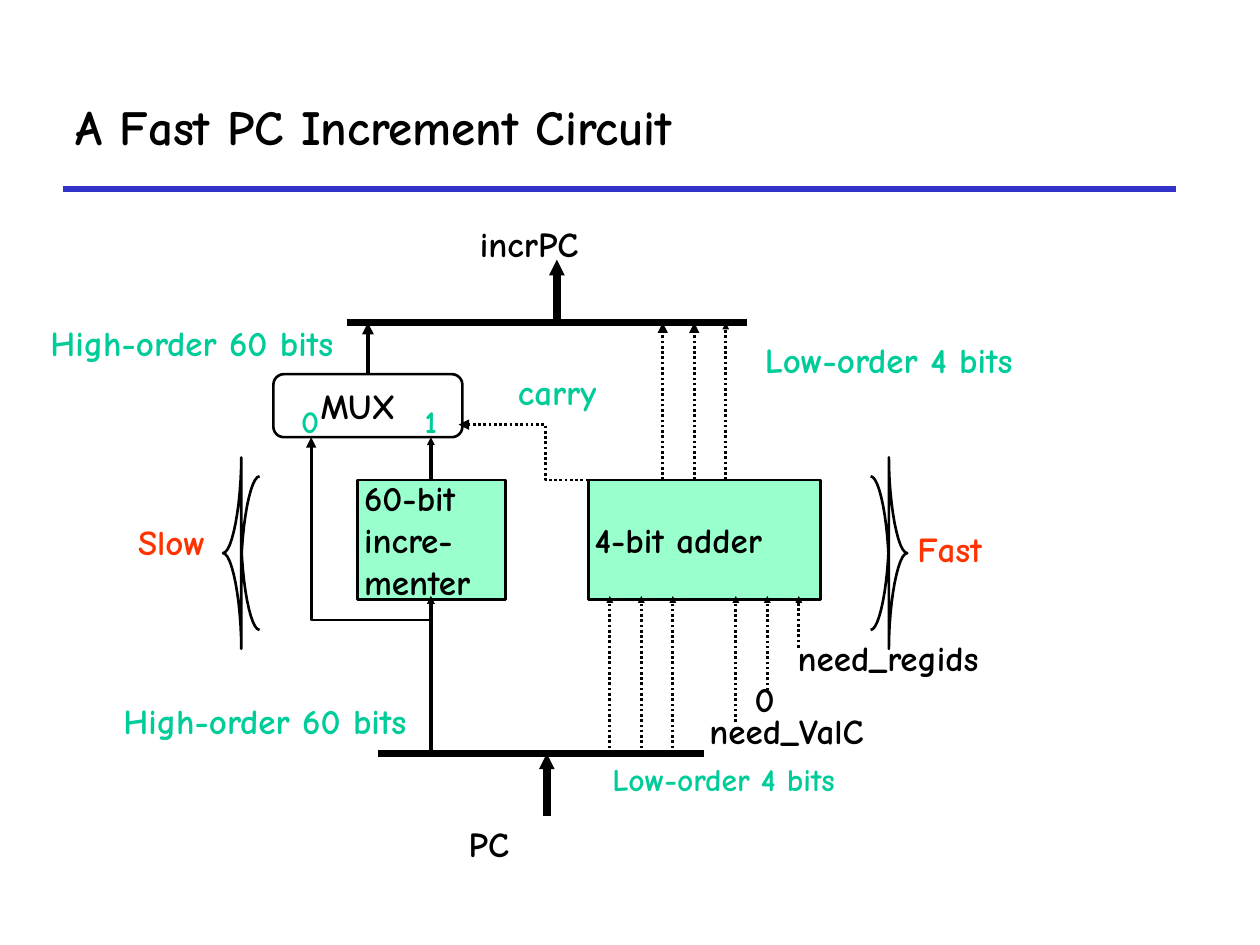
from dataclasses import dataclass

import lxml.etree
import pptx
import pptx.dml.color
import pptx.enum.dml
import pptx.enum.shapes
import pptx.enum.text
import pptx.oxml.ns
import pptx.util

Inches = pptx.util.Inches
Align = pptx.enum.text.PP_ALIGN
Anchor = pptx.enum.text.MSO_ANCHOR
Preset = pptx.enum.shapes.MSO_SHAPE

COLORS = {"ink": "000000", "rule": "3333CC", "block": "99FFCC",
          "bits": "00CC99", "speed": "FF3300"}
FONT = {"name": "Comic Neue", "bold": True}
INSET = 0.05
PC_BUS_Y, INCR_BUS_Y = 5.98, 2.56
BLOCK_TOP, BLOCK_HEIGHT, BLOCK_ENTRY = 3.81, 0.95, 4.73
MUX_TOP, MUX_BOTTOM = 2.97, 3.47
HIGH_X, BYPASS_X, BYPASS_Y = 3.42, 2.47, 4.92
WIRE_GAP = 0.25


@dataclass
class Label:
    text: str
    left: float
    top: float
    width: float
    height: float = 0.43
    color: str = "ink"
    size: int = 20
    wrap: bool = False
    align: Align = Align.LEFT


@dataclass
class Block:
    text: str
    preset: Preset
    left: float
    top: float
    width: float
    height: float
    fill: str = ""
    indent: float = 0


@dataclass
class Wire:
    points: list
    weight: float = 1.5
    dotted: bool = False
    head: str = ""
    color: str = "ink"


def rgb(name: str) -> pptx.dml.color.RGBColor:
    return pptx.dml.color.RGBColor.from_string(COLORS[name])


def write(frame, text: str, size: int, color: str, align=Align.LEFT, inset=INSET,
          **frame_format) -> None:
    """Fill a text frame, one paragraph per line of text."""
    margins = {f"margin_{side}": Inches(inset) for side in ("left", "right", "top", "bottom")}
    for name, value in (margins | frame_format).items():
        setattr(frame, name, value)
    for index, line in enumerate(text.split("\n")):
        paragraph = frame.paragraphs[0] if index == 0 else frame.add_paragraph()
        paragraph.text = line
        paragraph.alignment = align
        for name, value in (FONT | {"size": pptx.util.Pt(size)}).items():
            setattr(paragraph.font, name, value)
        paragraph.font.color.rgb = rgb(color)


def draw_label(shapes, label: Label) -> None:
    box = shapes.add_textbox(*map(Inches, (label.left, label.top, label.width, label.height)))
    write(box.text_frame, label.text, label.size, label.color, label.align,
          word_wrap=label.wrap, auto_size=pptx.enum.text.MSO_AUTO_SIZE.SHAPE_TO_FIT_TEXT)


def draw_block(shapes, block: Block) -> None:
    shape = shapes.add_shape(
        block.preset, *map(Inches, (block.left, block.top, block.width, block.height)))
    shape.shadow.inherit = False
    if block.fill:
        shape.fill.solid()
        shape.fill.fore_color.rgb = rgb(block.fill)
    else:
        shape.fill.background()
    shape.line.color.rgb = rgb("ink")
    shape.line.width = pptx.util.Pt(1.5)
    write(shape.text_frame, block.text, 20, "ink", vertical_anchor=Anchor.MIDDLE,
          word_wrap=False, margin_left=Inches(INSET + block.indent))


def draw_wire(shapes, wire: Wire) -> None:
    """Draw two points as a connector and more as an open outline."""
    points = [(Inches(x), Inches(y)) for x, y in wire.points]
    if len(points) == 2:
        shape = shapes.add_connector(
            pptx.enum.shapes.MSO_CONNECTOR.STRAIGHT, *points[0], *points[1])
    else:
        builder = shapes.build_freeform(*points[0], scale=1.0)
        builder.add_line_segments(points[1:], close=False)
        shape = builder.convert_to_shape()
        shape.fill.background()
    shape.line.color.rgb = rgb(wire.color)
    shape.line.width = pptx.util.Pt(wire.weight)
    if wire.dotted:
        shape.line.dash_style = pptx.enum.dml.MSO_LINE.ROUND_DOT
    qn = pptx.oxml.ns.qn
    properties = shape._element.spPr
    if wire.head:
        lxml.etree.SubElement(properties.find(qn("a:ln")), qn("a:tailEnd"),
                              type="triangle", w=wire.head, len=wire.head)
    lxml.etree.SubElement(properties, qn("a:effectLst"))


def up(x: float, start: float, end: float, weight=1.5, dotted=False, head="med") -> Wire:
    return Wire([(x, start), (x, end)], weight, dotted, head)


def curve(start: tuple, end: tuple, leaves_flat: bool, steps: int = 12) -> list:
    """Sample a quarter bend that is flat at one end and upright at the other."""
    (x0, y0), (x3, y3) = start, end
    mid_x, mid_y = (x0 + x3) / 2, (y0 + y3) / 2
    if leaves_flat:
        (x1, y1), (x2, y2) = (mid_x, y0), (x3, mid_y)
    else:
        (x1, y1), (x2, y2) = (x0, mid_y), (mid_x, y3)
    sampled = []
    for t in (step / steps for step in range(steps + 1)):
        weights = ((1 - t) ** 3, 3 * t * (1 - t) ** 2, 3 * t * t * (1 - t), t ** 3)
        sampled.append(tuple(sum(w * v for w, v in zip(weights, axis))
                             for axis in ((x0, x1, x2, x3), (y0, y1, y2, y3))))
    return sampled


def brace(tip: float, direction: int) -> Wire:
    """A brace whose overlapping bends open towards direction."""
    middle, bend, overlap, half = 4.39, 0.76, 0.61, 0.145
    spine, end = tip + direction * half, tip + direction * 2 * half
    top, bottom = middle - overlap, middle + overlap
    return Wire(curve((end, top), (spine, top + bend), True)
                + curve((spine, middle - bend), (tip, middle), False)
                + curve((tip, middle), (spine, middle + bend), True)
                + curve((spine, bottom - bend), (end, bottom), False))


BLOCKS = [
    Block("4-bit adder", Preset.RECTANGLE, 4.67, BLOCK_TOP, 1.84, BLOCK_HEIGHT, "block"),
    Block("60-bit\nincre-\nmenter", Preset.RECTANGLE, 2.84, BLOCK_TOP, 1.17, BLOCK_HEIGHT, "block"),
    Block("MUX", Preset.ROUNDED_RECTANGLE, 2.17, MUX_TOP, 1.5, MUX_BOTTOM - MUX_TOP, indent=0.3),
]
WIRES = [
    Wire([(0.5, 1.5), (9.33, 1.5)], 3, color="rule"),
    *(up(4.84 + i * WIRE_GAP, PC_BUS_Y, BLOCK_ENTRY, dotted=True, head="sm") for i in range(3)),
    *(up(5.84 + i * WIRE_GAP, start, BLOCK_ENTRY, dotted=True, head="sm")
      for i, start in enumerate((5.73, 5.48, 5.14))),
    *(up(5.26 + i * WIRE_GAP, BLOCK_TOP, INCR_BUS_Y, dotted=True, head=head)
      for i, head in enumerate(("med", "med", "sm"))),
    up(HIGH_X, PC_BUS_Y, BLOCK_ENTRY, 2.25, head="sm"),
    up(HIGH_X, BLOCK_TOP, MUX_BOTTOM, 2.25, head="sm"),
    up(2.92, MUX_TOP, INCR_BUS_Y, 2.25),
    Wire([(HIGH_X, BYPASS_Y), (BYPASS_X, BYPASS_Y), (BYPASS_X, MUX_BOTTOM)], head="med"),
    Wire([(4.67, BLOCK_TOP), (4.33, BLOCK_TOP), (4.33, 3.37), (3.64, 3.37)],
         dotted=True, head="med"),
    Wire([(3, PC_BUS_Y), (5.59, PC_BUS_Y)], 4.5),
    Wire([(2.75, INCR_BUS_Y), (5.93, INCR_BUS_Y)], 4.5),
    up(4.34, PC_BUS_Y + 0.5, PC_BUS_Y, 4.5, head="sm"),
    up(4.42, INCR_BUS_Y, INCR_BUS_Y - 0.5, 4.5, head="sm"),
    brace(1.77, 1),
    brace(7.2, -1),
]
LABELS = [
    Label("need_ValC", 5.58, 5.58, 1.34),
    Label("need_regids", 6.28, 5, 1.55),
    Label("0", 5.94, 5.33, 0.26),
    Label("High-order 60 bits", 0.93, 5.5, 2.36, color="bits"),
    Label("Low-order 4 bits", 4.81, 5.98, 1.88, 0.4, "bits", 18),
    Label("High-order 60 bits", 0.35, 2.5, 2.36, color="bits"),
    Label("Low-order 4 bits", 6.02, 2.64, 2.08, color="bits"),
    Label("0", 2.34, 3.14, 0.24, 0.4, "bits", 18),
    Label("1", 3.32, 3.14, 0.2, 0.4, "bits", 18),
    Label("PC", 3.67, 6.48, 1.34, wrap=True),
    Label("incrPC", 3.76, 1.72, 1.34, wrap=True),
    Label("Slow", 0.83, 4.08, 0.85, color="speed", wrap=True, align=Align.RIGHT),
    Label("Fast", 7.23, 4.14, 0.85, color="speed", wrap=True),
    Label("carry", 4.06, 2.89, 0.8, color="bits", wrap=True),
]


def main() -> None:
    deck = pptx.Presentation()
    deck.slide_width, deck.slide_height = Inches(10), Inches(7.5)
    shapes = deck.slides.add_slide(deck.slide_layouts[6]).shapes
    title = shapes.add_textbox(Inches(0.5), Inches(0.5), Inches(8.83), Inches(1))
    write(title.text_frame, "A Fast PC Increment Circuit", 28, "ink", inset=0.1,
          vertical_anchor=Anchor.MIDDLE, word_wrap=True)
    for draw, parts in ((draw_block, BLOCKS), (draw_wire, WIRES), (draw_label, LABELS)):
        for part in parts:
            draw(shapes, part)
    deck.save("out.pptx")


if __name__ == "__main__":
    main()
